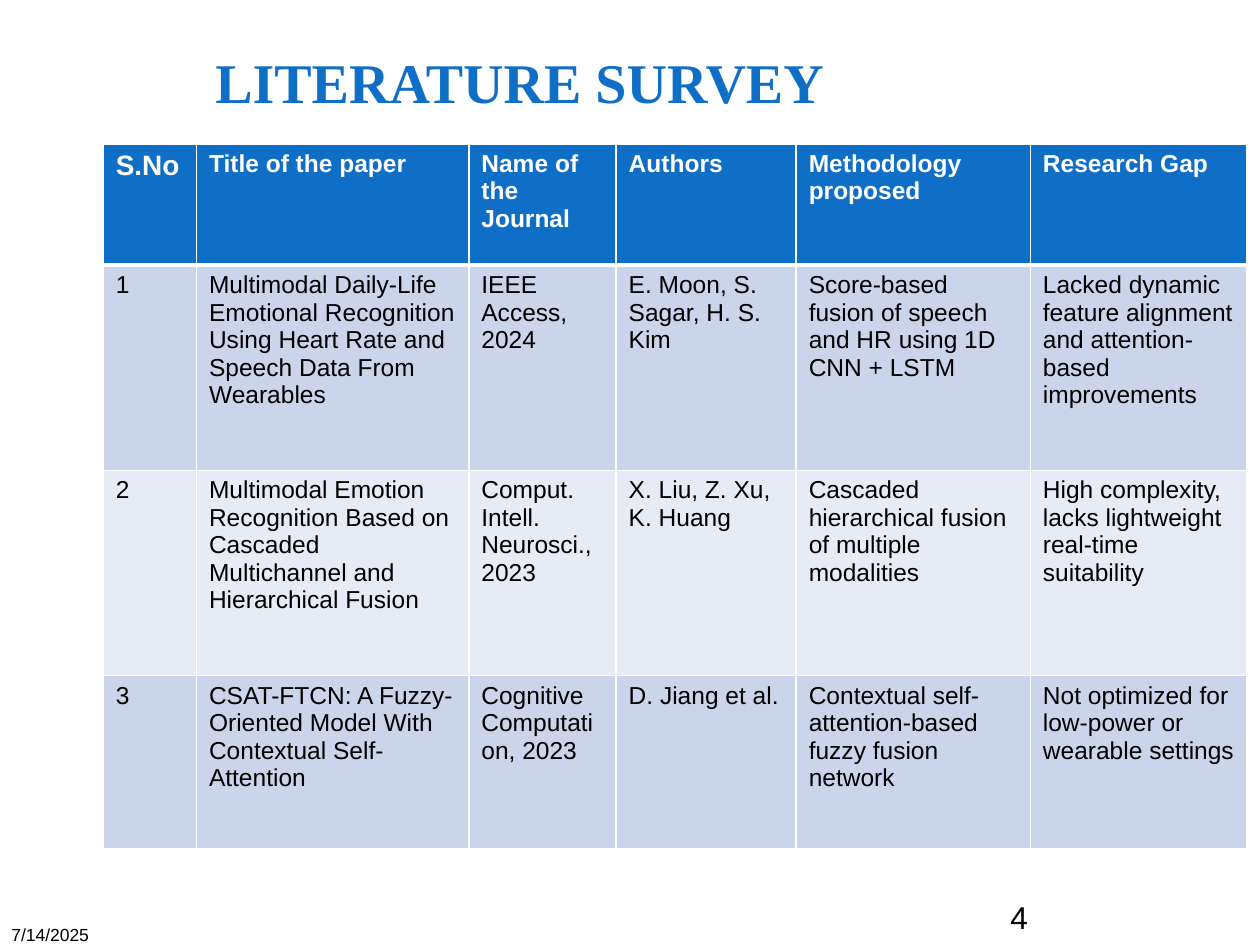
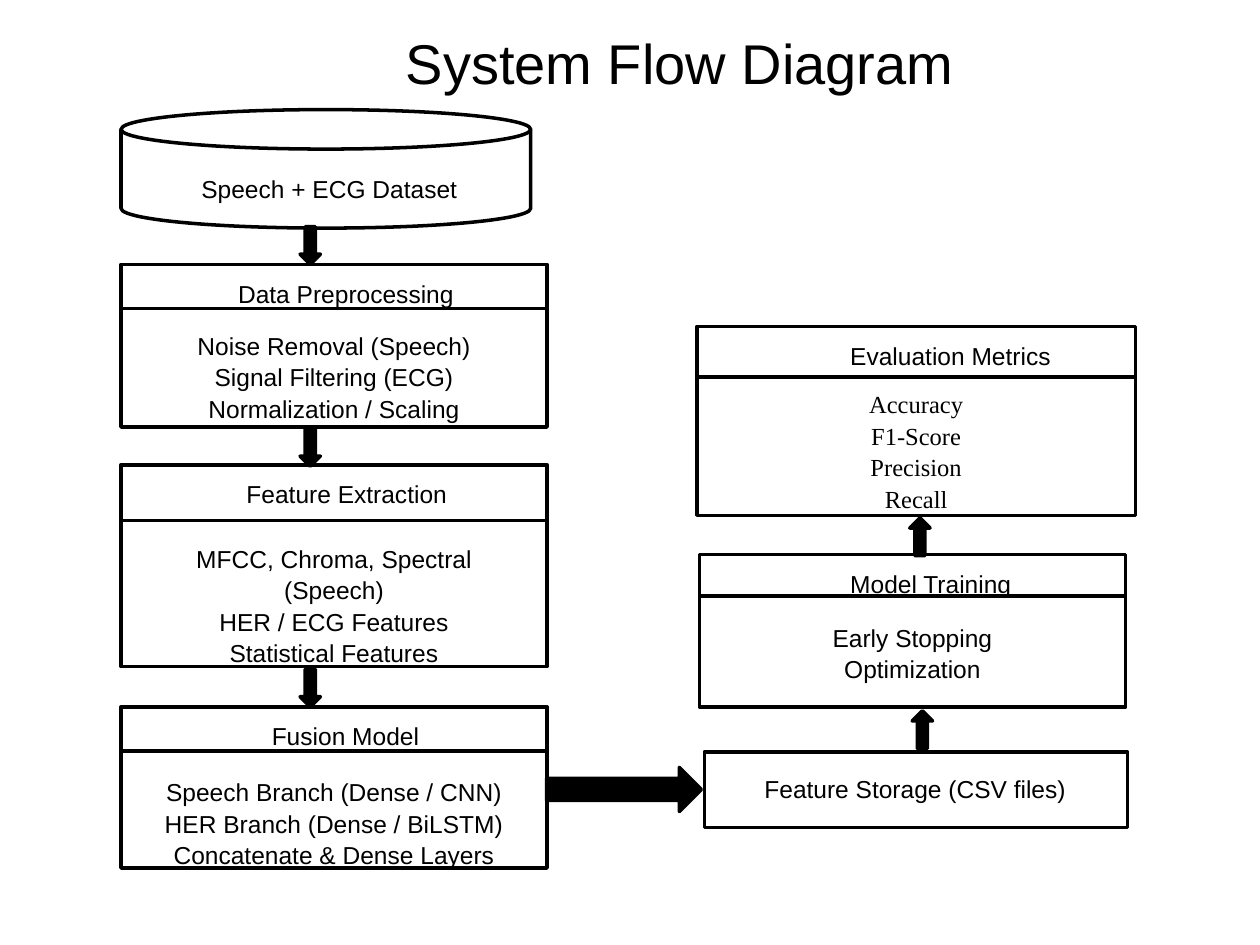
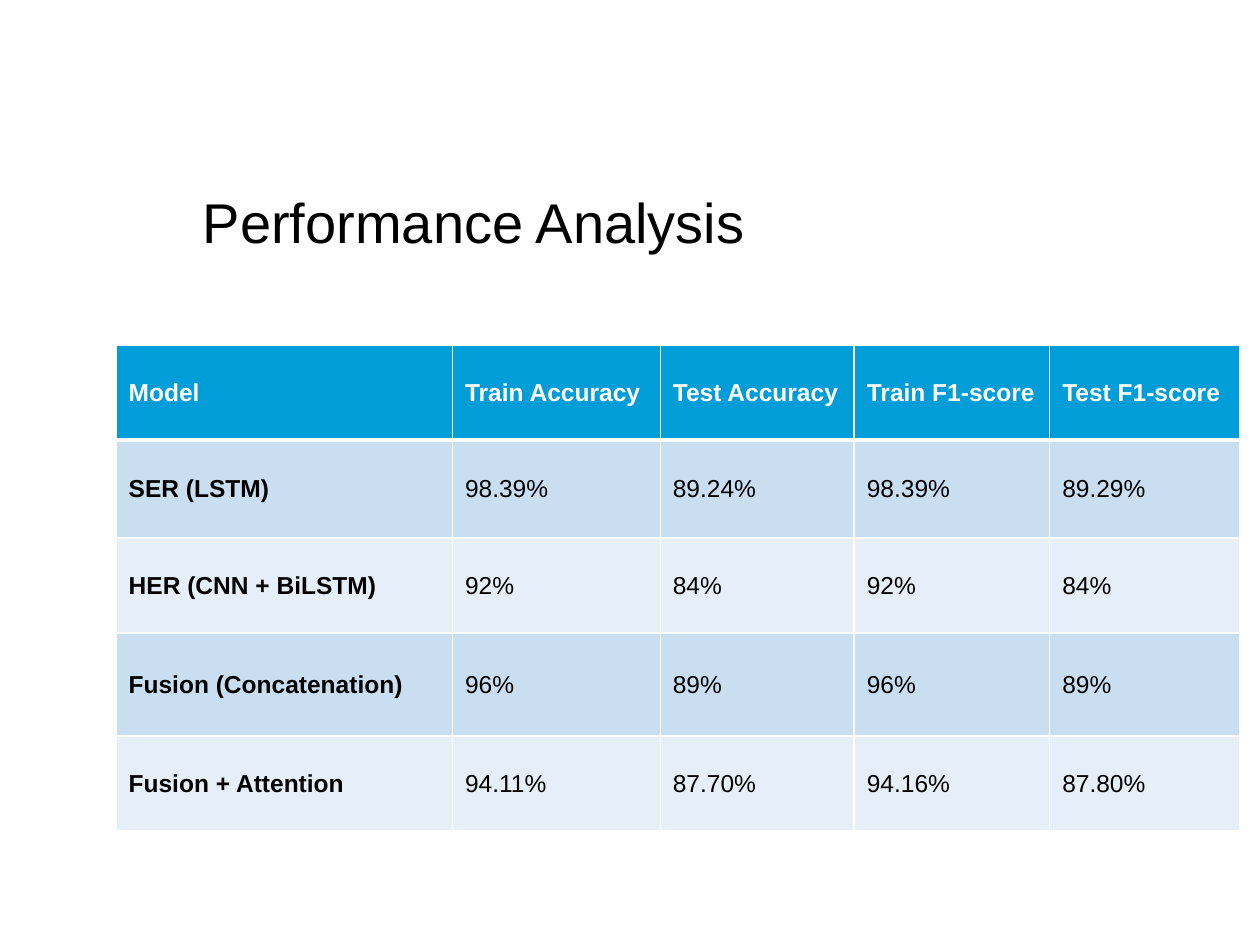
from lxml.etree import SubElement
from pptx import Presentation
from pptx.dml.color import RGBColor
from pptx.enum.shapes import MSO_SHAPE
from pptx.enum.text import MSO_ANCHOR, MSO_AUTO_SIZE, PP_ALIGN
from pptx.oxml.ns import qn
from pptx.util import Cm, Pt

HUES = {
    "ink": "000000", "paper": "FFFFFF",
    "blue": "0F6FC6", "blue_odd": "CAD4EA", "blue_even": "E6EBF5",
    "cyan": "009DD9", "cyan_odd": "CADEF1", "cyan_even": "E6EFF8",
}
SANS, SERIF = "Arial", "Times New Roman"
TIGHT = (0, 0, 0, 0)
PAD = (0.25, 0.13, 0.25, 0.13)


def hue(name):
    return RGBColor.from_string(HUES[name])


def write(frame, text, size=14, font=SANS, color="ink", bold=False,
          align=PP_ALIGN.LEFT, space=None):
    """Fill a text frame, one paragraph for each line of text."""
    for num, line in enumerate(text.split("\n")):
        para = frame.add_paragraph() if num else frame.paragraphs[0]
        para.text = line
        para.alignment = align
        if space:
            para.line_spacing = space
        para.font.size, para.font.name, para.font.bold = Pt(size), font, bold
        para.font.color.rgb = hue(color)


def edge(cell, side, width):
    line = SubElement(cell._tc.get_or_add_tcPr(), qn("a:ln" + side), w=str(Pt(width)))
    fill = SubElement(line, qn("a:solidFill"))
    SubElement(fill, qn("a:srgbClr"), val=HUES["paper"])


class Deck:
    def __init__(self):
        self.prs = Presentation()
        self.prs.slide_width, self.prs.slide_height = Cm(25.4), Cm(19.05)
        self.slide = None

    def start(self, text, box, **fmt):
        """Add a slide and set its title."""
        self.slide = self.prs.slides.add_slide(self.prs.slide_layouts[5])
        title = self.slide.shapes.title
        title.left, title.top, title.width, title.height = map(Cm, box)
        self.frame(title, (0, 0.13, 0, 0), MSO_ANCHOR.BOTTOM)
        write(title.text_frame, text, size=32, **fmt)

    def frame(self, shape, pad, anchor):
        frame = shape.text_frame
        frame.word_wrap, frame.auto_size = True, MSO_AUTO_SIZE.NONE
        frame.vertical_anchor = anchor
        (frame.margin_left, frame.margin_top,
         frame.margin_right, frame.margin_bottom) = map(Cm, pad)

    def label(self, text, box, pad=PAD, anchor=MSO_ANCHOR.TOP, **fmt):
        shape = self.slide.shapes.add_textbox(*map(Cm, box))
        self.frame(shape, pad, anchor)
        write(shape.text_frame, text, **fmt)

    def shape(self, kind, box, fill=None):
        shape = self.slide.shapes.add_shape(kind, *map(Cm, box))
        shape.shadow.inherit = False
        shape.line.color.rgb, shape.line.width = hue("ink"), Pt(2)
        if fill:
            shape.fill.solid()
            shape.fill.fore_color.rgb = hue(fill)
        else:
            shape.fill.background()

    def block(self, head, body, box, split, inset, drop, font=SANS):
        """Draw a box split into a heading and a body; inset and drop place their text."""
        left, top, width, height = box
        self.shape(MSO_SHAPE.RECTANGLE, (left, top, width, split))
        self.shape(MSO_SHAPE.RECTANGLE, (left, top + split, width, height - split))
        self.label(head, (left + inset, top + 0.12, 5.05, 0.86), space=1.07)
        self.label(body, (left + (width - 7.92) / 2, top + split + drop,
                          7.92, height - split - drop),
                   font=font, align=PP_ALIGN.CENTER, space=1.07)

    def table(self, data, spot, cols, rows, tone, anchor=MSO_ANCHOR.TOP,
              first=14, strong=False):
        """Draw a banded table; first sizes the corner cell, strong bolds column one."""
        box = (*spot, sum(cols), sum(rows))
        grid = self.slide.shapes.add_table(len(rows), len(cols), *map(Cm, box)).table
        for col, width in zip(grid.columns, cols):
            col.width = Cm(width)
        for row, (high, line) in enumerate(zip(rows, data)):
            grid.rows[row].height = Cm(high)
            band = tone + ("_odd" if row % 2 else "_even") if row else tone
            for col, text in enumerate(line):
                cell = grid.cell(row, col)
                for side in "LRTB":
                    heavy = (row, side) in ((0, "B"), (1, "T"))
                    edge(cell, side, 3 if heavy else 1)
                cell.fill.solid()
                cell.fill.fore_color.rgb = hue(band)
                cell.vertical_anchor = anchor
                write(cell.text_frame, text,
                      size=first if row == col == 0 else 14,
                      color="ink" if row else "paper",
                      bold=row == 0 or (strong and col == 0))


PAPERS = [
    ("S.No", "Title of the paper", "Name of the Journal", "Authors",
     "Methodology proposed", "Research Gap"),
    ("1", "Multimodal Daily-Life Emotional Recognition Using Heart Rate and "
     "Speech Data From Wearables", "IEEE Access, 2024", "E. Moon, S. Sagar, H. S. Kim",
     "Score-based fusion of speech and HR using 1D CNN + LSTM",
     "Lacked dynamic feature alignment and attention-based improvements"),
    ("2", "Multimodal Emotion Recognition Based on Cascaded Multichannel and "
     "Hierarchical Fusion", "Comput. Intell. Neurosci., 2023", "X. Liu, Z. Xu, K. Huang",
     "Cascaded hierarchical fusion of multiple modalities",
     "High complexity, lacks lightweight real-time suitability"),
    ("3", "CSAT-FTCN: A Fuzzy-Oriented Model With Contextual Self-Attention",
     "Cognitive Computation, 2023", "D. Jiang et al.",
     "Contextual self-attention-based fuzzy fusion network",
     "Not optimized for low-power or wearable settings"),
]
BLOCKS = [
    ("Data Preprocessing",
     "Noise Removal (Speech)\nSignal Filtering (ECG)\nNormalization / Scaling",
     (2.44, 5.33, 8.59, 3.28), 0.89, 2.11, 0.28),
    ("Feature Extraction",
     "MFCC, Chroma, Spectral (Speech)\nHER / ECG Features\nStatistical Features",
     (2.44, 9.37, 8.59, 4.07), 1.12, 2.28, 0.3),
    ("Fusion Model",
     "Speech Branch (Dense / CNN)\nHER Branch (Dense / BiLSTM)\nConcatenate & Dense Layers",
     (2.44, 14.25, 8.59, 3.25), 0.89, 2.79, 0.36),
    ("Model Training", "Early Stopping\nOptimization",
     (14.1, 11.18, 8.59, 3.07), 0.84, 2.79, 0.36),
    ("Evaluation Metrics", "Accuracy\nF1-Score\nPrecision\nRecall",
     (14.05, 6.58, 8.84, 3.81), 1.02, 2.84, 0.08, SERIF),
]
ARROWS = [
    (MSO_SHAPE.DOWN_ARROW, 6.05, 4.57), (MSO_SHAPE.DOWN_ARROW, 6.05, 8.64),
    (MSO_SHAPE.DOWN_ARROW, 6.05, 13.49),
    (MSO_SHAPE.UP_ARROW, 18.34, 10.44), (MSO_SHAPE.UP_ARROW, 18.39, 14.33),
]
SCORES = [
    ("Model", "Train Accuracy", "Test Accuracy", "Train F1-score", "Test F1-score"),
    ("SER (LSTM)", "98.39%", "89.24%", "98.39%", "89.29%"),
    ("HER (CNN + BiLSTM)", "92%", "84%", "92%", "84%"),
    ("Fusion (Concatenation)", "96%", "89%", "96%", "89%"),
    ("Fusion + Attention", "94.11%", "87.70%", "94.16%", "87.80%"),
]


def survey(deck):
    deck.start("LITERATURE SURVEY", (4.34, 0.86, 21, 1.45),
               font=SERIF, color="blue", bold=True)
    deck.label("7/14/2025", (0.23, 18.03, 5.92, 1.02), pad=TIGHT,
               anchor=MSO_ANCHOR.BOTTOM, size=10)
    deck.label("4", (20.12, 17.98, 4.01, 1.07), size=18)
    deck.table(PAPERS, (2.08, 2.9), (1.88, 5.49, 2.97, 3.63, 4.72, 4.37),
               (2.44, 4.14, 4.14, 3.48), "blue", first=16)


def flow(deck):
    deck.start("System Flow Diagram", (8.18, 0.3, 11.15, 1.63))
    deck.shape(MSO_SHAPE.FLOWCHART_MAGNETIC_DISK, (2.44, 2.21, 8.26, 2.39))
    deck.label("Speech + ECG Dataset", (3.81, 3.33, 5.79, 0.86), space=1.07)
    for block in BLOCKS:
        deck.block(*block)
    for kind, left, top in ARROWS:
        deck.shape(kind, (left, top, 0.41, 0.76), "ink")
    deck.shape(MSO_SHAPE.RIGHT_ARROW, (11.02, 15.47, 3.12, 0.89), "ink")
    deck.shape(MSO_SHAPE.RECTANGLE, (14.2, 15.16, 8.53, 1.52), "paper")
    deck.label("Feature Storage (CSV files)", (15.16, 15.44, 7.42, 0.86), space=1.07)


def results(deck):
    deck.start("Performance Analysis", (4.09, 1.96, 20.04, 3.18))
    deck.table(SCORES, (2.34, 6.96), (6.78, 4.19, 3.91, 3.94, 3.84),
               (1.91, 1.98, 1.91, 2.08, 1.91), "cyan",
               anchor=MSO_ANCHOR.MIDDLE, strong=True)


def main():
    deck = Deck()
    survey(deck)
    flow(deck)
    results(deck)
    deck.prs.save("out.pptx")


if __name__ == "__main__":
    main()
